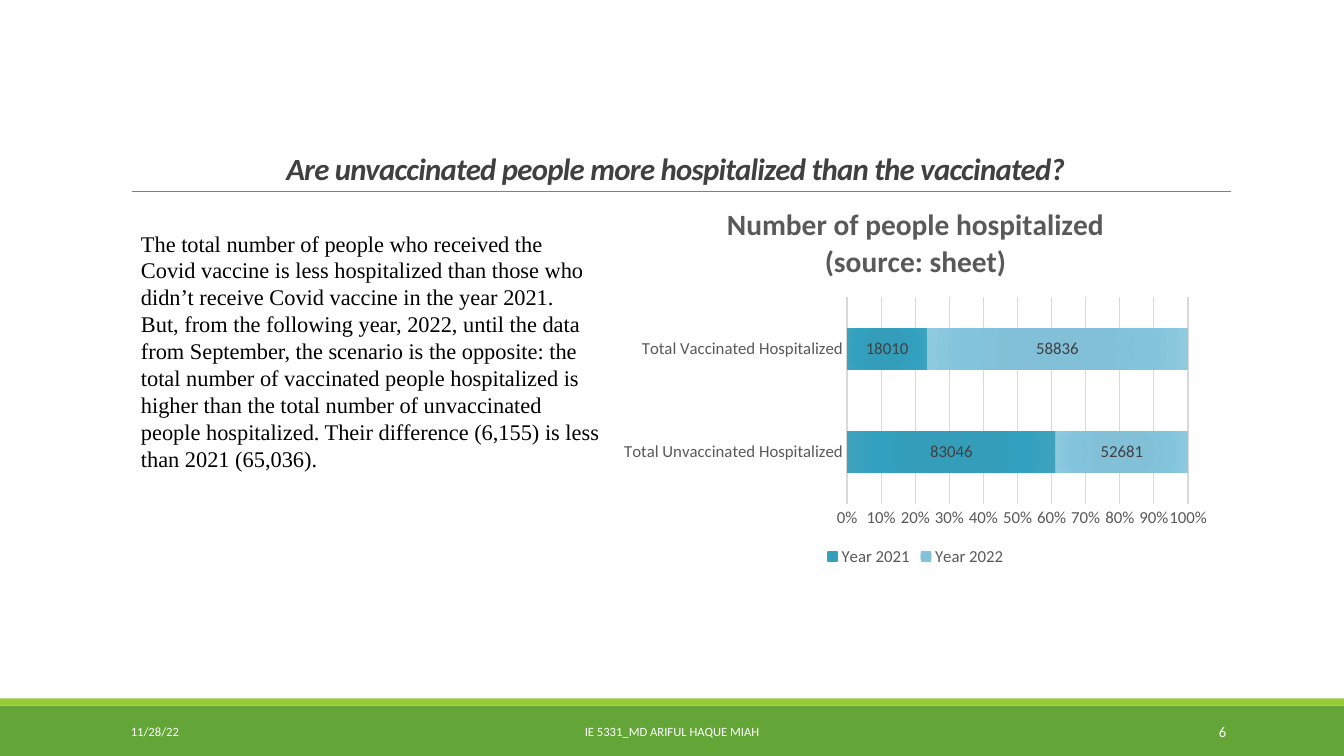
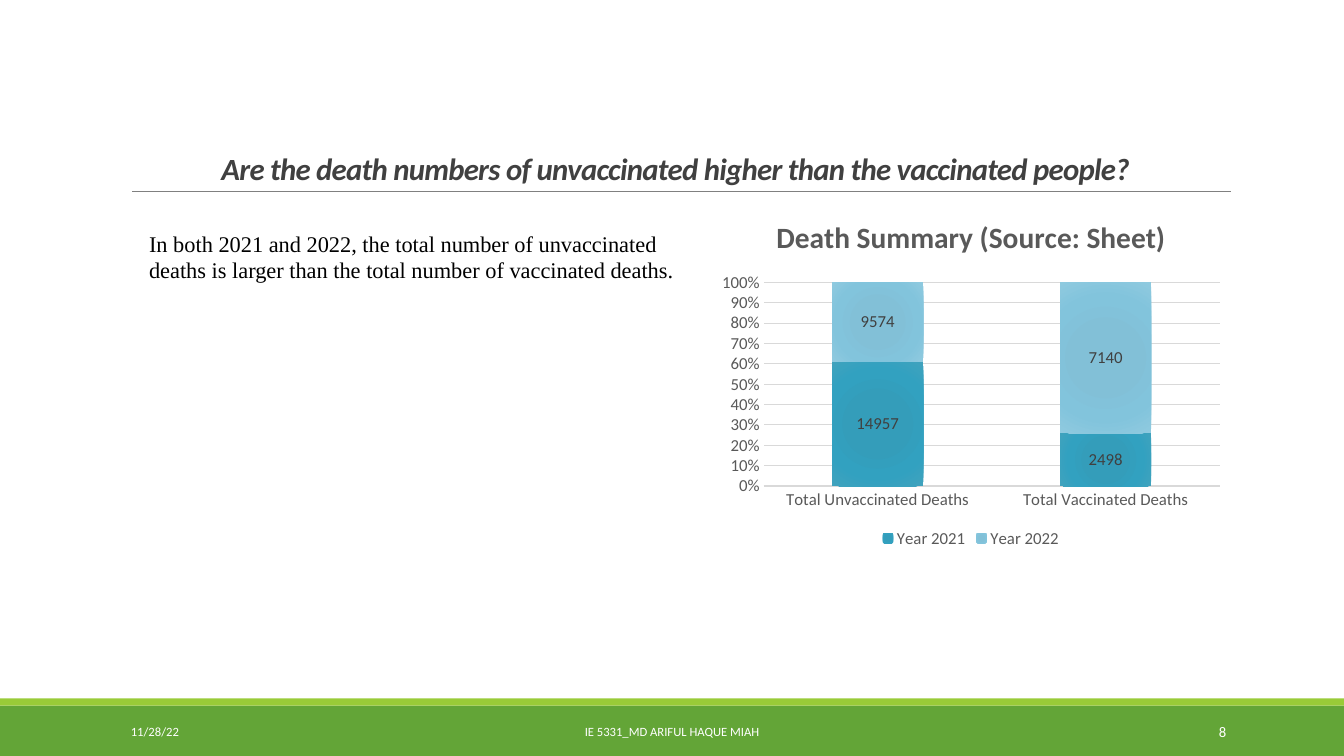
from pptx import Presentation
from pptx.chart.data import CategoryChartData
from pptx.dml.color import RGBColor
from pptx.enum.chart import XL_CHART_TYPE, XL_LABEL_POSITION, XL_LEGEND_POSITION, XL_TICK_MARK
from pptx.enum.shapes import MSO_CONNECTOR, MSO_SHAPE
from pptx.enum.text import MSO_ANCHOR, PP_ALIGN
from pptx.oxml import parse_xml
from pptx.oxml.ns import nsdecls, qn
from pptx.util import Emu, Pt
from lxml.etree import SubElement

PX = 9144
WHITE = RGBColor(0xFF, 0xFF, 0xFF)
BLACK = RGBColor(0x00, 0x00, 0x00)
GREEN = RGBColor(0x63, 0xA5, 0x37)
LIME = RGBColor(0x99, 0xCB, 0x38)
RULE_GRAY = RGBColor(0x80, 0x80, 0x80)
DARK_GRAY = RGBColor(0x40, 0x40, 0x40)
TEXT_GRAY = RGBColor(0x59, 0x59, 0x59)
GRID_GRAY = RGBColor(0xD9, 0xD9, 0xD9)
TEAL_STOPS = [(0, RGBColor(0x31, 0x9D, 0xBB)), (34, RGBColor(0x34, 0x9D, 0xBA)),
              (70, RGBColor(0x32, 0xA1, 0xC0)), (100, RGBColor(0x40, 0xA2, 0xBD))]
SKY_STOPS = [(0, RGBColor(0x7F, 0xBF, 0xD6)), (34, RGBColor(0x82, 0xC0, 0xD7)),
             (70, RGBColor(0x82, 0xC4, 0xDC)), (100, RGBColor(0x8F, 0xCA, 0xDF))]
BANDS = [((0, 700, 1333, 50), GREEN), ((0, 693, 1333, 7), LIME)]

SLIDES = [
    {
        "title": "Are unvaccinated people more hospitalized than the vaccinated?",
        "title_box": (120, 79, 1100, 111),
        "body": ["The total number of people who received the Covid vaccine is less hospitalized "
                 "than those who didn’t receive Covid vaccine in the year 2021.",
                 "But, from the following year, 2022, until the data from September, the scenario "
                 "is the opposite: the total number of vaccinated people hospitalized is higher "
                 "than the total number of unvaccinated people hospitalized. Their difference "
                 "(6,155) is less than 2021 (65,036)."],
        "body_box": (130, 223, 477, 252),
        "chart_type": XL_CHART_TYPE.BAR_STACKED_100,
        "chart_box": (607, 184, 602, 382),
        "chart_title": "Number of people hospitalized (source: sheet)",
        "categories": ["Total Unvaccinated Hospitalized", "Total Vaccinated Hospitalized"],
        "values": [(83046, 18010), (52681, 58836)],
        "number": "6",
    },
    {
        "title": "Are the death numbers of unvaccinated higher than the vaccinated people?",
        "title_box": (120, 31, 1100, 159),
        "body": ["In both 2021 and 2022, the total number of unvaccinated deaths is larger than "
                 "the total number of vaccinated deaths."],
        "body_box": (138, 223, 569, 64),
        "chart_type": XL_CHART_TYPE.COLUMN_STACKED_100,
        "chart_box": (706, 197, 514, 351),
        "chart_title": "Death Summary (Source: Sheet)",
        "categories": ["Total Unvaccinated Deaths", "Total Vaccinated Deaths"],
        "values": [(14957, 2498), (9574, 7140)],
        "number": "8",
    },
]


def style_font(font, size, color, name="Calibri", bold=False, italic=False):
    font.size = Pt(size)
    font.color.rgb = color
    font.name = name
    font.bold = bold
    font.italic = italic


def write(shape, paragraphs, box, align=PP_ALIGN.LEFT, anchor=MSO_ANCHOR.TOP,
          line_spacing=None, letter_spacing=None, **font_format):
    shape.left, shape.top, shape.width, shape.height = [Emu(length * PX) for length in box]
    frame = shape.text_frame
    frame.word_wrap = True
    frame.vertical_anchor = anchor
    frame.text = "\n".join(paragraphs)
    for paragraph in frame.paragraphs:
        paragraph.alignment = align
        paragraph.line_spacing = line_spacing
        for run in paragraph.runs:
            style_font(run.font, **font_format)
            if letter_spacing is not None:
                run.font._element.set("spc", str(letter_spacing))


presentation = Presentation()
presentation.slide_width = Emu(1333 * PX)
presentation.slide_height = Emu(750 * PX)
title_only = presentation.slide_layouts[5]

for content in SLIDES:
    slide = presentation.slides.add_slide(title_only)
    shapes = slide.shapes

    for box, color in BANDS:
        band = shapes.add_shape(MSO_SHAPE.RECTANGLE, *[Emu(length * PX) for length in box])
        band.shadow.inherit = False
        band.fill.solid()
        band.fill.fore_color.rgb = color
        band.line.fill.background()

    rule = shapes.add_connector(MSO_CONNECTOR.STRAIGHT,
                                *[Emu(length * PX) for length in (131, 190, 1221, 190)])
    rule.line.color.rgb = RULE_GRAY
    rule.line.width = Pt(0.5)
    SubElement(rule._element.spPr, qn("a:effectLst"))

    write(shapes.title, [content["title"]], content["title_box"], align=PP_ALIGN.CENTER,
          anchor=MSO_ANCHOR.BOTTOM, line_spacing=0.85, letter_spacing=-50,
          size=22, color=DARK_GRAY, bold=True, italic=True)

    chart_data = CategoryChartData()
    chart_data.categories = content["categories"]
    for name, values in zip(("Year 2021", "Year 2022"), content["values"]):
        chart_data.add_series(name, values)
    chart = shapes.add_chart(content["chart_type"],
                             *[Emu(length * PX) for length in content["chart_box"]],
                             chart_data).chart
    style_font(chart.font, 10, BLACK)

    chart.has_title = True
    chart_title = chart.chart_title.text_frame
    chart_title.text = content["chart_title"]
    style_font(chart_title.paragraphs[0].runs[0].font, 21, TEXT_GRAY, bold=True)
    chart.chart_title.include_in_layout = False

    chart.has_legend = True
    chart.legend.position = XL_LEGEND_POSITION.BOTTOM
    chart.legend.include_in_layout = False
    style_font(chart.legend.font, 12, TEXT_GRAY)

    for axis in (chart.category_axis, chart.value_axis):
        axis.major_tick_mark = XL_TICK_MARK.NONE
        axis.minor_tick_mark = XL_TICK_MARK.NONE
        style_font(axis.tick_labels.font, 12, TEXT_GRAY)
    chart.category_axis.format.line.color.rgb = GRID_GRAY
    chart.category_axis.format.line.width = Pt(1)
    value_axis = chart.value_axis
    value_axis.format.line.fill.background()
    value_axis.has_major_gridlines = True
    value_axis.major_gridlines.format.line.color.rgb = GRID_GRAY
    value_axis.major_gridlines.format.line.width = Pt(0.75)
    value_axis.major_unit = 0.1
    value_axis.tick_labels.number_format = "0%"
    value_axis.tick_labels.number_format_is_linked = False

    plot = chart.plots[0]
    plot.vary_by_categories = False
    plot.gap_width = 150
    plot.overlap = 100
    for series, stops in zip(plot.series, (TEAL_STOPS, SKY_STOPS)):
        series.format.fill.solid()
        properties = series._element.spPr
        stop_list = "".join(
            f'<a:gs pos="{position * 1000}"><a:srgbClr val="{color}"/></a:gs>'
            for position, color in stops)
        gradient = parse_xml(
            f'<a:gradFill {nsdecls("a")} rotWithShape="1"><a:gsLst>{stop_list}</a:gsLst>'
            '<a:path path="circle"><a:fillToRect l="100000" t="100000" r="100000" b="100000"/>'
            '</a:path></a:gradFill>')
        properties.replace(properties.find(qn("a:solidFill")), gradient)
        labels = series.data_labels
        labels.show_value = True
        labels.position = XL_LABEL_POSITION.CENTER
        style_font(labels.font, 12, DARK_GRAY)

    write(shapes.add_textbox(0, 0, 0, 0), content["body"], content["body_box"],
          size=16, color=BLACK, name="Times New Roman")

    footers = [("11/28/22", 120, 270, PP_ALIGN.LEFT, 9),
               ("IE 5331_MD ARIFUL HAQUE MIAH", 403, 527, PP_ALIGN.CENTER, 9),
               (content["number"], 1083, 143, PP_ALIGN.RIGHT, 10.5)]
    for text, left, width, align, size in footers:
        write(shapes.add_textbox(0, 0, 0, 0), [text], (left, 706, width, 40), align=align,
              anchor=MSO_ANCHOR.MIDDLE, size=size, color=WHITE)

presentation.save("out.pptx")
